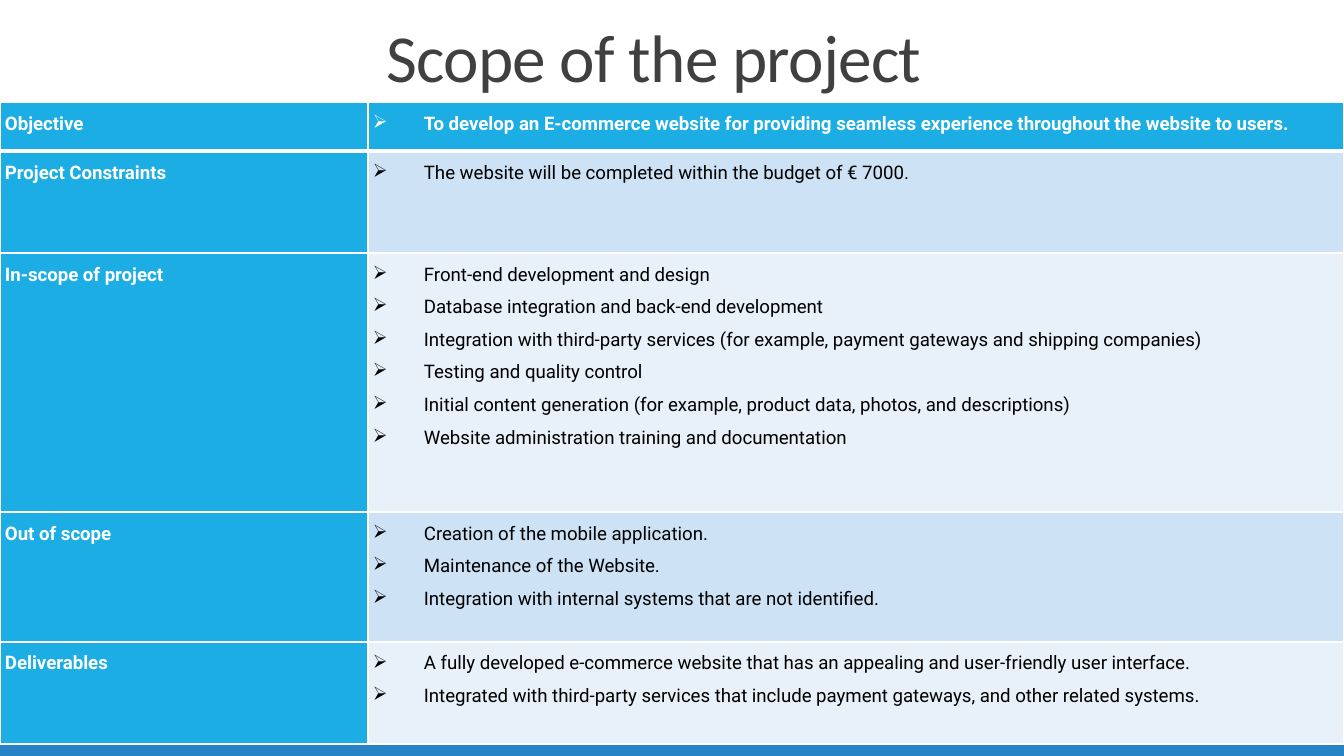
"""Build the project scope slide: a title over a table of five scope rows."""
from lxml import etree
from pptx import Presentation
from pptx.dml.color import RGBColor
from pptx.enum import shapes, text
from pptx.oxml import ns

hexa = RGBColor.from_string


def px(length):
    return round(length * 914400 / 134.4)


def write(paragraph, words, size=10, font="Roboto", color="000000", bold=False,
          align=text.PP_ALIGN.JUSTIFY, spacing=1.5, bullet=None, tracking=None):
    paragraph.alignment = align
    paragraph.line_spacing = spacing
    if bullet:
        props = paragraph._p.get_or_add_pPr()
        props.set("marL", str(px(51)))
        props.set("indent", str(px(-51)))
        tint = etree.SubElement(props, ns.qn("a:buClr"))
        etree.SubElement(tint, ns.qn("a:srgbClr"), val=color)
        etree.SubElement(props, ns.qn("a:buChar"), char=bullet)
    run = paragraph.add_run()
    run.text = words
    run.font.size = size * 12700
    run.font.name = font
    run.font.bold = bold
    run.font.color.rgb = hexa(color)
    if tracking:
        run._r.get_or_add_rPr().set("spc", str(tracking))


ACCENT, WHITE = "1CADE4", "FFFFFF"
BANDS = ["E8F1FA", "CDE3F5"]
scope = [
    ("Objective", 49, ["To develop an E-commerce website for providing seamless experience throughout the website to users."]),
    ("Project Constraints", 102, ["The website will be completed within the budget of € 7000."]),
    ("In-scope of project", 259, [
        "Front-end development and design",
        "Database integration and back-end development",
        "Integration with third-party services (for example, payment gateways and shipping companies)",
        "Testing and quality control",
        "Initial content generation (for example, product data, photos, and descriptions)",
        "Website administration training and documentation",
    ]),
    ("Out of scope", 130, [
        "Creation of the mobile application.",
        "Maintenance of the Website.",
        "Integration with internal systems that are not identified.",
    ]),
    ("Deliverables", 102, [
        "A fully developed e-commerce website that has an appealing and user-friendly user interface.",
        "Integrated with third-party services that include payment gateways, and other related systems.",
    ]),
]

deck = Presentation()
deck.slide_width, deck.slide_height = px(1344), px(756)
slide = deck.slides.add_slide(deck.slide_layouts[6])

footer = slide.shapes.add_shape(shapes.MSO_SHAPE.RECTANGLE, 0, px(706), px(1344), px(50))
footer.shadow.inherit = False
footer.fill.solid()
footer.fill.fore_color.rgb = hexa("2683C6")
footer.line.fill.background()

title = slide.shapes.add_textbox(px(93), px(26), px(1136), px(71)).text_frame
title.word_wrap = True
title.vertical_anchor = text.MSO_ANCHOR.MIDDLE
title.margin_left = title.margin_right = title.margin_top = title.margin_bottom = px(13)
write(title.paragraphs[0], "Scope of the project ", size=36, font="Calibri", color="404040",
      align=text.PP_ALIGN.CENTER, spacing=0.85, tracking=-40)

table = slide.shapes.add_table(len(scope), 2, 0, px(102), px(1344), px(642)).table
table.columns[0].width, table.columns[1].width = px(368), px(976)

for row, (heading, height, points) in enumerate(scope):
    table.rows[row].height = px(height)
    for column, lines in enumerate([[heading], points]):
        cell = table.cell(row, column)
        accented = row == 0 or column == 0
        cell.margin_left = cell.margin_right = px(5)
        cell.margin_top = cell.margin_bottom = 0
        cell.fill.solid()
        cell.fill.fore_color.rgb = hexa(ACCENT if accented else BANDS[row % 2])
        for index, line in enumerate(lines):
            paragraph = cell.text_frame.add_paragraph() if index else cell.text_frame.paragraphs[0]
            write(paragraph, line, color=WHITE if accented else "000000", bold=accented,
                  bullet="➢" if column else None)
        for order, side in enumerate("LRTB"):
            thick = (row, side) in [(0, "B"), (1, "T")]
            border = etree.Element(ns.qn(f"a:ln{side}"), w=str(12700 * (3 if thick else 1)))
            paint = etree.SubElement(border, ns.qn("a:solidFill"))
            etree.SubElement(paint, ns.qn("a:srgbClr"), val=WHITE)
            cell._tc.get_or_add_tcPr().insert(order, border)

deck.save("out.pptx")
